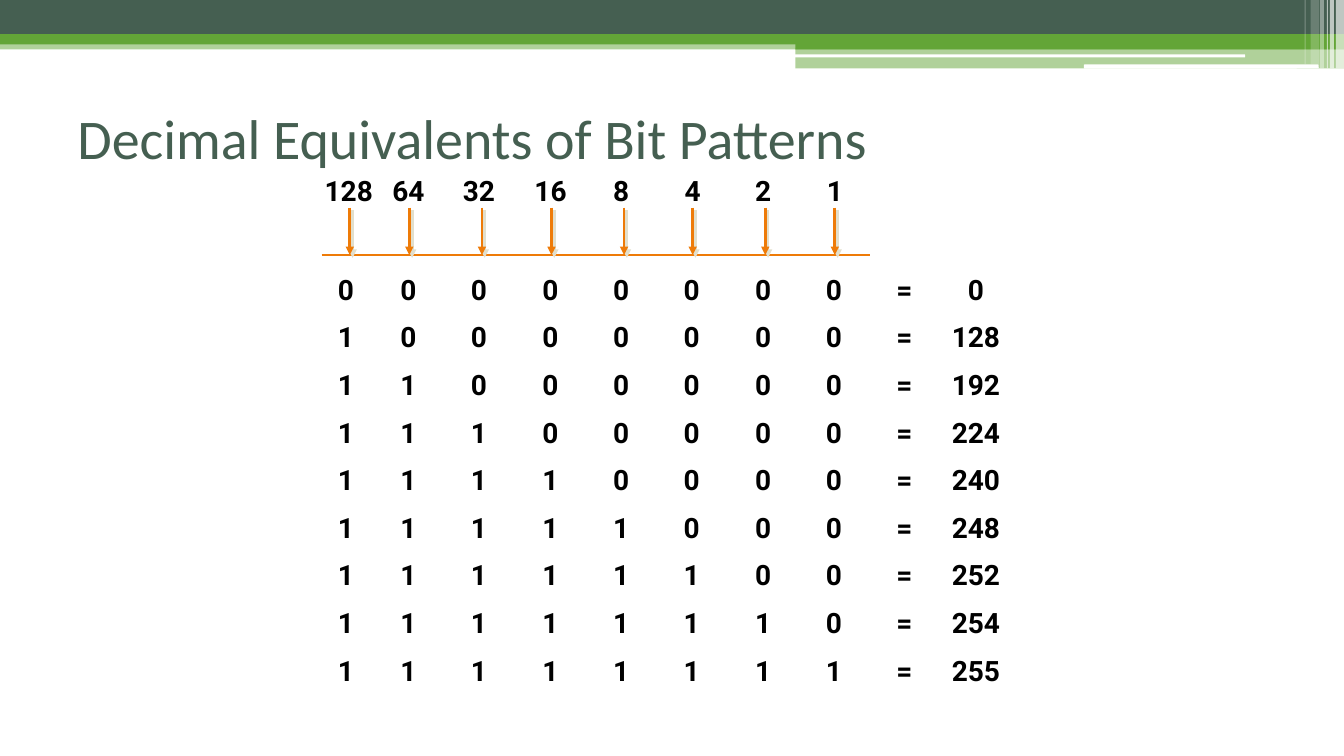
from typing import NamedTuple

from lxml import etree
from pptx import Presentation
from pptx import util as u
from pptx.dml import color
from pptx.enum import shapes, text
from pptx.oxml import ns

PX = 9144  # EMU per px, 100 px to the inch
COLORS = {
    "dark": "455F51", "green": "63A537", "white": "FFFFFF",
    "black": "000000", "orange": "EE7B08", "shadow": "E2DFCC",
}
RECT = shapes.MSO_SHAPE.RECTANGLE
ROUND = shapes.MSO_SHAPE.ROUNDED_RECTANGLE


class Bar(NamedTuple):
    x: int
    y: int
    w: int
    h: int
    fill: str
    opacity: int = 100
    kind: shapes.MSO_SHAPE = RECT


class Line(NamedTuple):
    x1: int
    y1: int
    x2: int
    y2: int
    width: int
    arrow: bool = False


BANNER = [
    Bar(0, 40, 1333, 9, "green", 50),
    Bar(0, 0, 1333, 34, "dark"),
    Bar(0, 34, 1333, 10, "green"),
    Bar(789, 39, 544, 10, "green"),
    Bar(789, 48, 544, 20, "green", 50),
    Bar(788, 54, 447, 3, "white", kind=ROUND),
    Bar(1075, 64, 233, 4, "white", kind=ROUND),
    Bar(1325, 0, 8, 68, "white", 65),
    Bar(1319, 0, 4, 68, "white", 65),
    Bar(1316, 0, 1, 68, "white", 60),
    Bar(1309, 0, 4, 68, "white", 40),
    Bar(1300, 0, 8, 64, "white", 20),
    Bar(1294, 0, 1, 64, "white", 30),
]
ARROW_XS = [347, 406, 478, 547, 619, 687, 759, 828]
BITS = 8


def rgb(name: str) -> color.RGBColor:
    return color.RGBColor.from_string(COLORS[name])


def sub(parent, tag: str, **attrs):
    return etree.SubElement(parent, ns.qn(tag), attrs)


def add_bar(s, bar: Bar) -> None:
    sp = s.shapes.add_shape(bar.kind, *(v * PX for v in bar[:4]))
    sp.shadow.inherit = False
    sp.line.fill.background()
    sp.fill.solid()
    sp.fill.fore_color.rgb = rgb(bar.fill)
    if bar.opacity < 100:
        clr = sp.fill._xPr.find(".//" + ns.qn("a:srgbClr"))
        sub(clr, "a:alpha", val=str(bar.opacity * 1000))


def add_line(s, line: Line) -> None:
    cx = s.shapes.add_connector(shapes.MSO_CONNECTOR.STRAIGHT,
                                *(v * PX for v in line[:4]))
    cx.line.color.rgb = rgb("orange")
    cx.line.width = u.Pt(line.width)
    effects = sub(cx._element.spPr, "a:effectLst")
    if line.arrow:
        sub(cx.line._get_or_add_ln(), "a:tailEnd", type="triangle")
        shadow = sub(effects, "a:outerShdw", dist="35921", dir="2700000",
                     algn="ctr", rotWithShape="0")
        sub(shadow, "a:srgbClr", val=COLORS["shadow"])


def add_text(s, lines: list[str], x: int, y: int, w: int, h: int, *,
             font: str, size: int, fill: str, bold: bool = False,
             inset: tuple[int, int] = (10, 5), tabs: tuple[int, ...] = (),
             before: float = 0, anchor=text.MSO_ANCHOR.TOP) -> None:
    tf = s.shapes.add_textbox(x * PX, y * PX, w * PX, h * PX).text_frame
    tf.word_wrap = True
    tf.vertical_anchor = anchor
    tf.margin_left = tf.margin_right = inset[0] * PX
    tf.margin_top = tf.margin_bottom = inset[1] * PX
    for i, content in enumerate(lines):
        p = tf.paragraphs[0] if i == 0 else tf.add_paragraph()
        if i:
            p.space_before = u.Pt(before)
        if tabs:
            stops = sub(p._p.get_or_add_pPr(), "a:tabLst")
            for pos in tabs:
                sub(stops, "a:tab", pos=str(pos * PX), algn="ctr")
        r = p.add_run()
        r.text = content
        r.font.name, r.font.size, r.font.bold = font, u.Pt(size), bold
        r.font.color.rgb = rgb(fill)


def bit_row(ones: int) -> str:
    bits = "1" * ones + "0" * (BITS - ones)
    return "\t".join([*bits, "=", str(int(bits, 2))])


def main() -> None:
    prs = Presentation()
    prs.slide_width, prs.slide_height = 1333 * PX, 750 * PX
    s = prs.slides.add_slide(prs.slide_layouts[6])

    # Banner and title
    for bar in BANNER:
        add_bar(s, bar)
    add_text(s, ["Decimal Equivalents of Bit Patterns"], 67, 78, 1200, 117,
             font="Calibri", size=40, fill="dark",
             anchor=text.MSO_ANCHOR.MIDDLE)

    # Bit patterns and place values
    style = dict(font="Roboto", size=20, fill="black", bold=True, inset=(13, 6))
    add_text(s, [bit_row(n) for n in range(BITS + 1)], 322, 264, 689, 450,
             tabs=tuple(633 * i // 9 for i in range(1, 10)), before=10, **style)
    places = "\t".join(str(2 ** n) for n in reversed(range(BITS)))
    add_text(s, [places], 309, 166, 545, 47,
             tabs=tuple(83 + 423 * i // 6 for i in range(BITS - 1)), **style)

    # Rule with an arrow under each place value
    add_line(s, Line(319, 253, 863, 253, 1))
    for x in ARROW_XS:
        add_line(s, Line(x, 206, x, 253, 2, arrow=True))

    prs.save("out.pptx")


if __name__ == "__main__":
    main()
